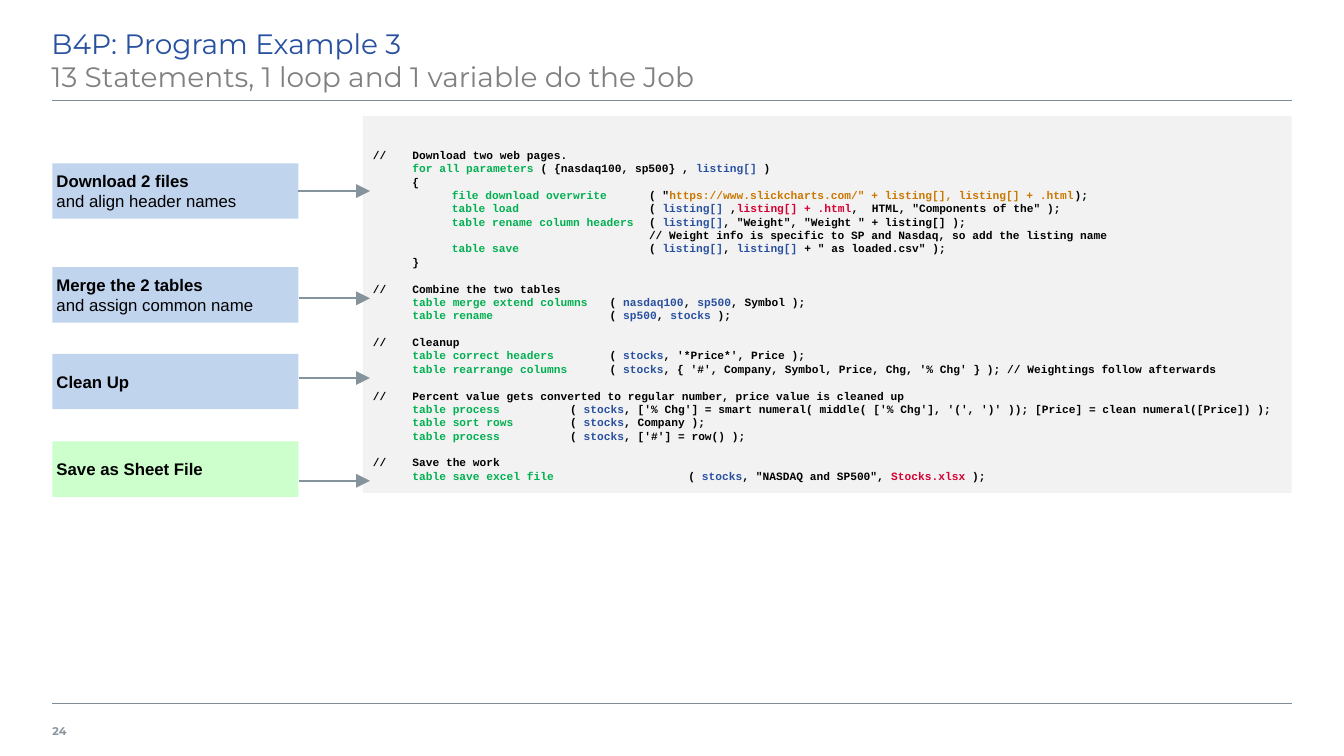
from lxml import etree
from pptx import Presentation
from pptx.dml.color import RGBColor
from pptx.enum import shapes, text
from pptx.oxml import ns
from pptx.util import Inches, Pt

BLACK = RGBColor(0x00, 0x00, 0x00)
BLUE = RGBColor(0x28, 0x50, 0xA0)
GREY = RGBColor(0x80, 0x80, 0x80)
GREEN = RGBColor(0x00, 0xB0, 0x50)
RED = RGBColor(0xD5, 0x00, 0x32)
ORANGE = RGBColor(0xCA, 0x77, 0x00)
RULE = RGBColor(0x80, 0x8D, 0x97)
ARROW = RGBColor(0x85, 0x93, 0x9D)
NUMBER = RGBColor(0x89, 0x96, 0xA0)
PANEL = RGBColor(0xF2, 0xF2, 0xF2)
PALE_BLUE = RGBColor(0xC1, 0xD4, 0xEE)
PALE_GREEN = RGBColor(0xCC, 0xFF, 0xCC)

CODE_COLORS = {"g": GREEN, "b": BLUE, "r": RED, "o": ORANGE}
CODE_BLOCKS = [
    [
        "//\tDownload two web pages.",
        "\t|g:for all parameters| ( {nasdaq100, sp500} , |b:listing[]| )",
        "\t{",
        "\t\t|g:file download overwrite|\t\t( \"|o:https://www.slickcharts.com/\" + listing[], listing[] + .html|);",
        "\t\t|g:table load|\t\t\t\t( |b:listing[]| ,|r:listing[] + .html|,  HTML, \"Components of the\" );",
        "\t\t|g:table rename column headers|\t( |b:listing[]|, \"Weight\", \"Weight \" + listing[] );",
        "\t\t\t\t\t\t\t// Weight info is specific to SP and Nasdaq, so add the listing name",
        "\t\t|g:table save|\t\t\t\t( |b:listing[]|, |b:listing[]| + \" as loaded.csv\" );",
        "\t}",
    ],
    [
        "//\tCombine the two tables",
        "\t|g:table merge extend columns|\t( |b:nasdaq100|, |b:sp500|, Symbol );",
        "\t|g:table rename|\t\t\t( |b:sp500|, |b:stocks| );",
    ],
    [
        "//\tCleanup",
        "\t|g:table correct headers|\t\t( |b:stocks|, '*Price*', Price );",
        "\t|g:table rearrange columns|\t\t( |b:stocks|, { '#', Company, Symbol, Price, Chg, '% Chg' } ); // Weightings follow afterwards",
    ],
    [
        "//\tPercent value gets converted to regular number, price value is cleaned up",
        "\t|g:table process|\t\t( |b:stocks|, ['% Chg'] = smart numeral( middle( ['% Chg'], '(', ')' )); [Price] = clean numeral([Price]) );",
        "\t|g:table sort rows|\t\t( |b:stocks|, Company );",
        "\t|g:table process|\t\t( |b:stocks|, ['#'] = row() );",
    ],
    [
        "//\tSave the work",
        "\t|g:table save excel file|\t\t\t\t( |b:stocks|, \"NASDAQ and SP500\", |r:Stocks.xlsx| );",
    ],
]

prs = Presentation()
prs.slide_width, prs.slide_height = Inches(13.33), Inches(7.5)
s = prs.slides.add_slide(prs.slide_layouts[5])


def add_line(x1, y1, x2, y2, color, width):
    line = s.shapes.add_connector(
        shapes.MSO_CONNECTOR.STRAIGHT, Inches(x1), Inches(y1), Inches(x2), Inches(y2))
    line.line.color.rgb = color
    line.line.width = Pt(width)
    etree.SubElement(line._element.spPr, ns.qn("a:effectLst"))
    return line


def style(r, font, size, color, bold=False):
    r.font.name = font
    r.font.size = Pt(size)
    r.font.color.rgb = color
    r.font.bold = bold


for y in (6.98, 1):
    add_line(0.52, y, 12.81, y, RULE, 1)

number = s.shapes.add_textbox(Inches(0.52), Inches(7.06), Inches(0.47), Inches(0.39))
tf = number.text_frame
tf.text = "24"
tf.word_wrap = False
tf.vertical_anchor = text.MSO_ANCHOR.MIDDLE
tf.margin_left = 0
style(tf.paragraphs[0].runs[0], "Montserrat", 8, NUMBER, True)

title = s.shapes.title
title.left, title.top = Inches(0.51), Inches(0.21)
title.width, title.height = Inches(12.28), Inches(0.79)
tf = title.text_frame
tf.text = "B4P: Program Example 3\v13 Statements, 1 loop and 1 variable do the Job"
tf.auto_size = text.MSO_AUTO_SIZE.NONE
tf.vertical_anchor = text.MSO_ANCHOR.TOP
tf.margin_left = 0
p = tf.paragraphs[0]
p.alignment = text.PP_ALIGN.LEFT
for r, color in zip(p.runs, (BLUE, GREY)):
    style(r, "Montserrat", 20, color)

panel = s.shapes.add_shape(
    shapes.MSO_SHAPE.RECTANGLE, Inches(3.6), Inches(1.15), Inches(9.21), Inches(3.74))
panel.shadow.inherit = False
panel.fill.solid()
panel.fill.fore_color.rgb = PANEL
panel.line.fill.background()
tf = panel.text_frame
tf.word_wrap = True
tf.vertical_anchor = text.MSO_ANCHOR.TOP
tf.margin_top = Inches(0.32)
for block_no, block in enumerate(CODE_BLOCKS):
    for line_no, code in enumerate(block):
        first = block_no == 0 and line_no == 0
        p = tf.paragraphs[0] if first else tf.add_paragraph()
        p.alignment = text.PP_ALIGN.LEFT
        p.line_spacing = Pt(9.55)
        if block_no and line_no == 0:
            p.space_before = Pt(9.55)
        tabs = etree.SubElement(p._p.get_or_add_pPr(), ns.qn("a:tabLst"))
        for stop in range(1, 9):
            etree.SubElement(tabs, ns.qn("a:tab"), pos=str(Inches(3.13 * stop / 8)), algn="l")
        for i, part in enumerate(code.split("|")):
            color = BLACK
            if i % 2:
                key, part = part.split(":", 1)
                color = CODE_COLORS[key]
            r = p.add_run()
            r.text = part
            style(r, "Courier New", 8, color, True)

STEP_HEIGHT = 0.55
STEPS = [
    (1.62, None, PALE_BLUE, ["Download 2 files", "and align header names"]),
    (2.65, 2.96, PALE_BLUE, ["Merge the 2 tables", "and assign common name"]),
    (3.51, 3.75, PALE_BLUE, ["Clean Up"]),
    (4.38, 4.77, PALE_GREEN, ["Save as Sheet File"]),
]
for top, arrow_y, fill, lines in STEPS:
    step = s.shapes.add_shape(
        shapes.MSO_SHAPE.RECTANGLE, Inches(0.52), Inches(top), Inches(2.44), Inches(STEP_HEIGHT))
    step.shadow.inherit = False
    step.fill.solid()
    step.fill.fore_color.rgb = fill
    step.line.fill.background()
    tf = step.text_frame
    tf.text = "\n".join(lines)
    tf.word_wrap = True
    tf.vertical_anchor = text.MSO_ANCHOR.MIDDLE
    tf.margin_left = tf.margin_right = tf.margin_top = tf.margin_bottom = Inches(0.04)
    for i, p in enumerate(tf.paragraphs):
        p.alignment = text.PP_ALIGN.LEFT
        style(p.runs[0], "Arial", 12, BLACK, i == 0)

    y = arrow_y or top + STEP_HEIGHT / 2
    arrow = add_line(2.97, y, 3.67, y, ARROW, 1.5)
    ln = arrow._element.spPr.get_or_add_ln()
    etree.SubElement(ln, ns.qn("a:tailEnd"), type="triangle", w="lg", len="lg")
    if arrow_y is None:
        arrow.begin_connect(step, 3)

prs.save("out.pptx")
